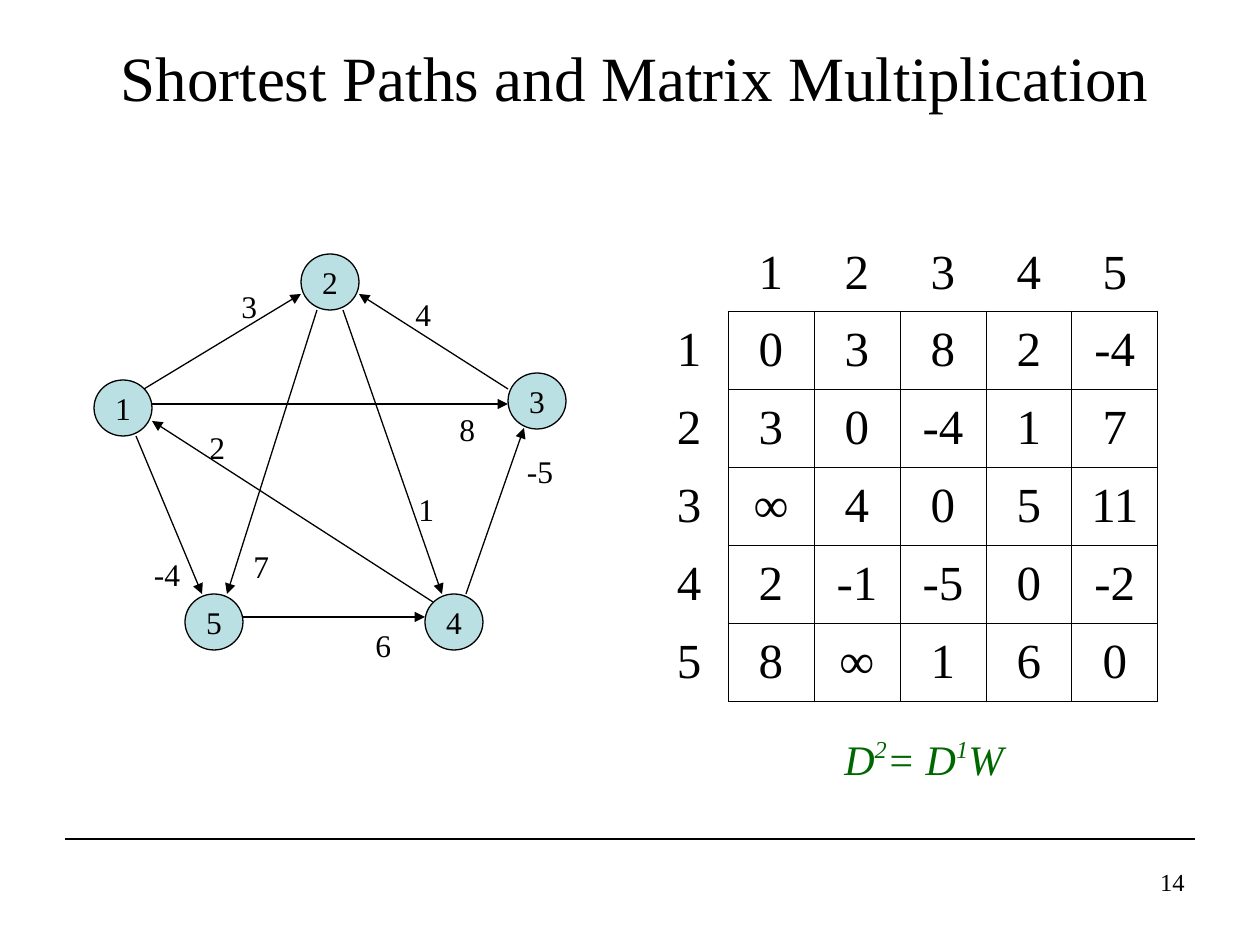
from pptx import Presentation, util as u
from pptx.dml.color import RGBColor
from pptx.enum import shapes, text
from pptx.oxml.ns import qn
from lxml import etree

SCALE = 914400 / 126
FONT = "Times New Roman"
COLORS = {"ink": "000000", "node": "BBE0E3", "formula": "006600"}
NODE_SIZE = (58, 56)
NODES = {"1": (0, 126), "2": (207, 0), "3": (414, 119), "4": (331, 340), "5": (91, 340)}
EDGES = [  # start, end, weight, top left of the weight
    ((50, 135), (207, 40), "3", (135, 27)),
    ((414, 135), (265, 40), "4", (309, 35)),
    ((372, 340), (430, 174), "-5", (420, 192)),
    ((149, 363), (331, 363), "6", (269, 366)),
    ((42, 182), (108, 340), "-4", (47, 295)),
    ((223, 56), (133, 340), "7", (147, 287)),
    ((249, 56), (348, 340), "1", (312, 230)),
    ((339, 348), (58, 167), "2", (103, 168)),
    ((58, 150), (414, 150), "8", (353, 150)),
]
DISTANCES = [
    ["0", "3", "8", "2", "-4"],
    ["3", "0", "-4", "1", "7"],
    ["∞", "4", "0", "5", "11"],
    ["2", "-1", "-5", "0", "-2"],
    ["8", "∞", "1", "6", "0"],
]


def px(*lengths):
    """Turn pixel lengths into EMU."""
    return [u.Emu(round(length * SCALE)) for length in lengths]


def color(name):
    """Look up a named colour."""
    return RGBColor.from_string(COLORS[name])


def write(frame, content, size=18, ink="ink", italic=False, align="CENTER",
          anchor="TOP", wrap=False):
    """Fill a text frame; content is a string or (string, baseline) pairs."""
    frame.word_wrap = wrap
    frame.vertical_anchor = getattr(text.MSO_ANCHOR, anchor)
    paragraph = frame.paragraphs[0]
    paragraph.alignment = getattr(text.PP_ALIGN, align)
    pairs = [(content, 0)] if isinstance(content, str) else content
    for words, baseline in pairs:
        run = paragraph.add_run()
        run.text = words
        run.font.name, run.font.size = FONT, u.Pt(size)
        run.font.italic = italic
        run.font.color.rgb = color(ink)
        if baseline:
            run.font._element.set("baseline", str(baseline * 1000))


def add_text(parent, box, content, **style):
    """Place a text box."""
    write(parent.add_textbox(*px(*box)).text_frame, content, **style)


def add_line(parent, start, end, arrow=False):
    """Draw a thin line, with an arrowhead at its end if wanted."""
    line = parent.add_connector(shapes.MSO_CONNECTOR.STRAIGHT, *px(*start, *end))
    line.line.color.rgb = color("ink")
    line.line.width = u.Pt(0.74)
    properties = line._element.spPr
    if arrow:
        etree.SubElement(properties.find(qn("a:ln")), qn("a:tailEnd"), type="triangle")
    etree.SubElement(properties, qn("a:effectLst"))


def add_title(slide, box, words):
    """Move and fill the title placeholder."""
    title = slide.shapes.title
    title.left, title.top, title.width, title.height = px(*box)
    write(title.text_frame, words, size=36, anchor="MIDDLE", wrap=True)


def add_graph(slide, left, top):
    """Draw the weighted directed graph from its top left corner."""
    group = slide.shapes.add_group_shape().shapes
    for name, (x, y) in NODES.items():
        node = group.add_shape(shapes.MSO_SHAPE.OVAL, *px(left + x, top + y, *NODE_SIZE))
        node.shadow.inherit = False
        node.fill.solid()
        node.fill.fore_color.rgb = color("node")
        node.line.color.rgb = color("ink")
        node.line.width = u.Pt(0.74)
        write(node.text_frame, name, anchor="MIDDLE")
    for start, end, weight, (x, y) in EDGES:
        add_line(group, (left + start[0], top + start[1]),
                 (left + end[0], top + end[1]), arrow=True)
        add_text(group, (left + x, top + y, 28 + 12 * len(weight), 50), weight)


def set_borders(cell, sides):
    """Rule the given sides of a cell and clear the others."""
    properties = cell._tc.get_or_add_tcPr()
    for index, side in enumerate("LRTB"):
        border = etree.Element(qn("a:ln" + side), w=str(u.Pt(0.45)))
        if side in sides:
            fill = etree.SubElement(border, qn("a:solidFill"))
            etree.SubElement(fill, qn("a:srgbClr"), val=COLORS["ink"])
        else:
            etree.SubElement(border, qn("a:noFill"))
        properties.insert(index, border)


def add_matrix(slide, left, top, label_width=78, label_height=77, cell_width=86, cell_height=78):
    """Build the distance matrix with row and column labels."""
    labels = list(NODES)
    rows = [[""] + labels] + [[label] + row for label, row in zip(labels, DISTANCES)]
    count = len(rows)
    size = (label_width + cell_width * (count - 1), label_height + cell_height * (count - 1))
    table = slide.shapes.add_table(count, count, *px(left, top, *size)).table
    table.first_row = table.horz_banding = False
    for i in range(count):
        table.columns[i].width, table.rows[i].height = px(
            cell_width if i else label_width, cell_height if i else label_height)
    for i, row in enumerate(rows):
        for j, value in enumerate(row):
            cell = table.cell(i, j)
            cell.fill.background()
            if i and j:
                sides = "LRTB"
            else:
                sides = "B" if j else "R" if i else ""
            set_borders(cell, sides)
            cell.vertical_anchor = text.MSO_ANCHOR.MIDDLE
            if value:
                write(cell.text_frame, value, size=28, anchor="MIDDLE", wrap=True)


def add_footer(slide, left, top, width, number):
    """Draw the rule at the foot and the page number under it."""
    add_line(slide.shapes, (left, top), (left + width, top))
    add_text(slide.shapes, (left + width - 292, top + 22, 294, 66), number,
             size=14, align="RIGHT", wrap=True)


def main():
    """Build and save the slide."""
    presentation = Presentation()
    presentation.slide_width, presentation.slide_height = px(1260, 945)
    slide = presentation.slides.add_slide(presentation.slide_layouts[5])
    add_title(slide, (68, 38, 1134, 77), "Shortest Paths and Matrix Multiplication")
    add_matrix(slide, 650, 234)
    add_text(slide.shapes, (832, 727, 194, 63),
             [("D", 0), ("2", 40), ("= D", 0), ("1", 40), ("W", 0)],
             size=24, ink="formula", italic=True, align="LEFT", wrap=True)
    add_graph(slide, 94, 254)
    add_footer(slide, 65, 839, 1130, "14")
    presentation.save("out.pptx")


main()
